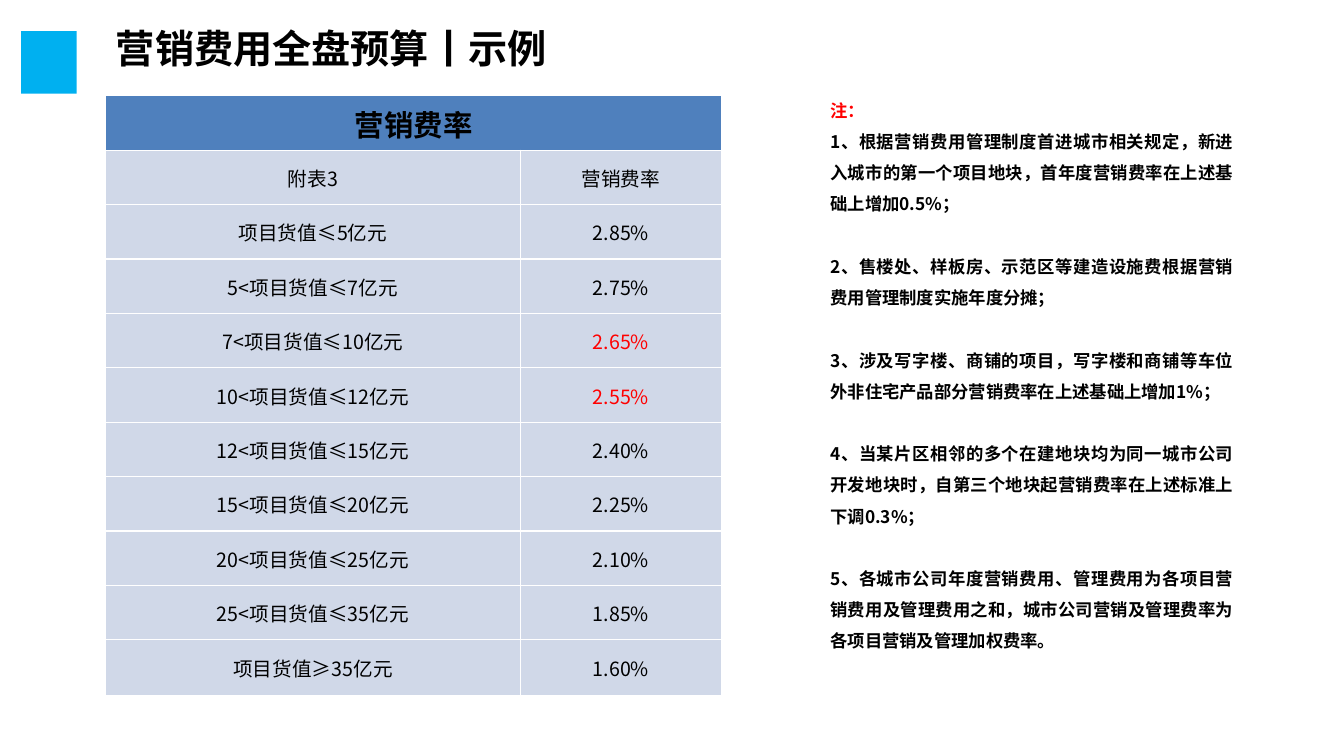
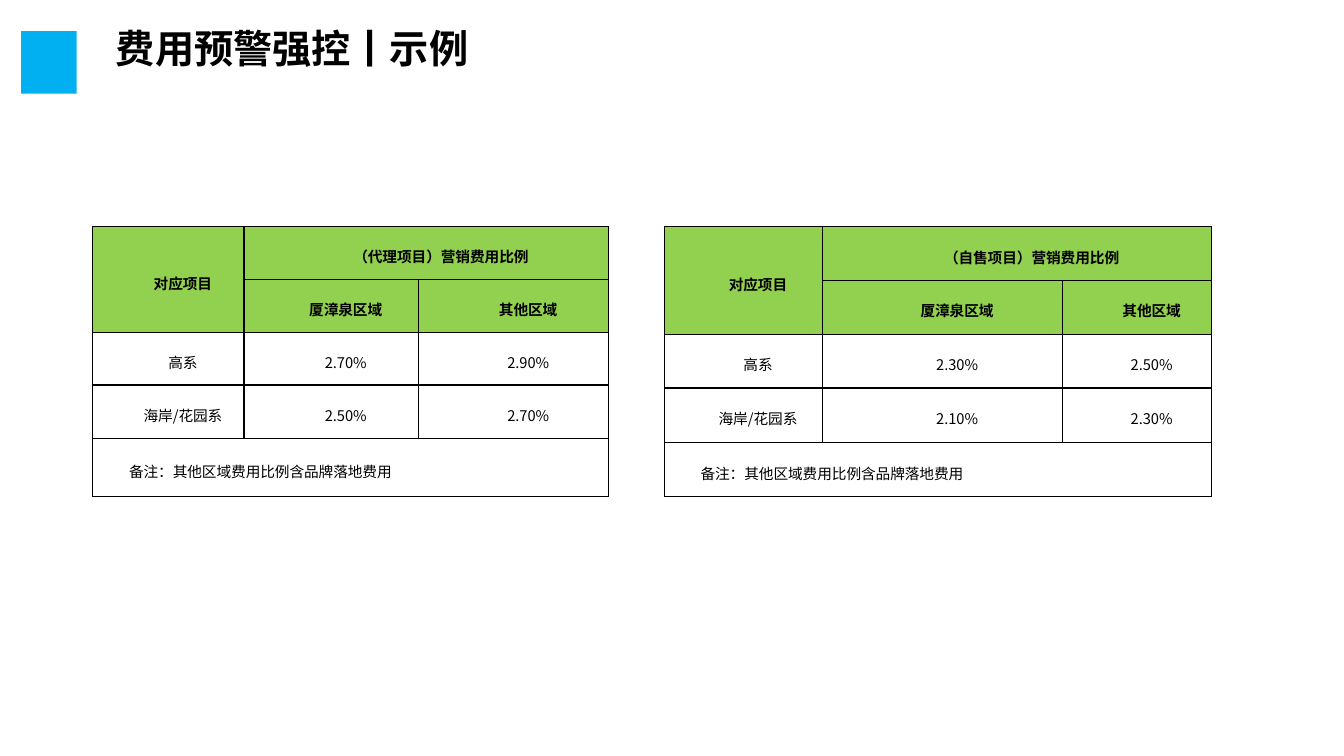
from dataclasses import dataclass, replace

from lxml import etree
from pptx import Presentation
from pptx import util as u
from pptx.dml.color import RGBColor
from pptx.enum import lang, shapes, text
from pptx.oxml.ns import qn

SCALE = 9144
LEFT = text.PP_ALIGN.LEFT
MID = text.PP_ALIGN.CENTER
JUST = text.PP_ALIGN.JUSTIFY


@dataclass(frozen=True)
class Style:
    size: float
    bold: bool = False
    color: str = "000000"
    align: int = MID
    lead: float = 1.0
    indent: int = 0
    fill: str = ""


@dataclass(frozen=True)
class Theme:
    font: str = "Noto Sans CJK SC"
    badge: str = "00B0F0"
    red: str = "FF0000"
    white: str = "FFFFFF"
    black: str = "000000"
    gap: float = 22.3
    title: Style = Style(28, True, align=LEFT, lead=0.9)
    note: Style = Style(12.4, True, align=JUST, lead=1.5)
    band: Style = Style(21, True, fill="4F80BD")
    rate: Style = Style(14, fill="D0D8E8")
    head: Style = Style(10.5, True, lead=1.25, indent=29, fill="92D050")
    body: Style = Style(10.5, lead=1.25, indent=29)
    foot: Style = Style(10.5, align=LEFT, lead=1.25, indent=29)


def px(num):
    return u.Emu(num * SCALE)


def split(total, count):
    return [total * (i + 1) // count - total * i // count for i in range(count)]


class Deck:
    def __init__(self, theme):
        self.theme = theme
        self.prs = Presentation()
        self.prs.slide_width = u.Inches(13.333)
        self.prs.slide_height = px(750)
        self.layout = self.prs.slide_layouts[5]
        self.slide = None

    def page(self, title):
        first = self.slide is None
        self.slide = self.prs.slides.add_slide(self.layout)
        if first:
            self.badge()
        box = self.slide.shapes.title
        box.left, box.top, box.width, box.height = map(px, (105, 20, 555, 61))
        frame = box.text_frame
        frame.word_wrap = True
        frame.auto_size = text.MSO_AUTO_SIZE.NONE
        frame.vertical_anchor = text.MSO_ANCHOR.MIDDLE
        self.para(frame.paragraphs[0], title, self.theme.title)

    def badge(self):
        box = self.slide.shapes.add_shape(
            shapes.MSO_SHAPE.RECTANGLE, *map(px, (21, 31, 55, 62)))
        box.shadow.inherit = False
        box.fill.solid()
        box.fill.fore_color.rgb = RGBColor.from_string(self.theme.badge)
        box.line.fill.background()
        box.element.nvSpPr.cNvPr.set("id", "20")
        self.layout.shapes.element.append(box.element)

    def para(self, para, words, style):
        para.alignment = style.align
        para.line_spacing = style.lead
        if style.indent:
            props = para._p.get_or_add_pPr()
            props.set("marL", "0")
            props.set("indent", str(px(style.indent)))
        run = para.add_run()
        run.text = words
        font = run.font
        font.size = u.Pt(style.size)
        font.bold = style.bold
        font.name = self.theme.font
        font.color.rgb = RGBColor.from_string(style.color)
        font.language_id = lang.MSO_LANGUAGE_ID.SIMPLIFIED_CHINESE
        east = etree.Element(qn("a:ea"), typeface=self.theme.font)
        run._r.rPr.find(qn("a:latin")).addnext(east)

    def notes(self, at, label, items):
        frame = self.slide.shapes.add_textbox(*map(px, at)).text_frame
        frame.word_wrap = True
        style = self.theme.note
        self.para(frame.paragraphs[0], label, replace(style, color=self.theme.red))
        for i, item in enumerate(items):
            para = frame.add_paragraph()
            self.para(para, item, style)
            if i:
                para.space_before = u.Pt(self.theme.gap)

    def edges(self, cell, color):
        props = cell._tc.get_or_add_tcPr()
        for i, side in enumerate(("lnL", "lnR", "lnT", "lnB")):
            line = etree.Element(qn("a:" + side), w=str(u.Pt(1)))
            fill = etree.SubElement(line, qn("a:solidFill"))
            etree.SubElement(fill, qn("a:srgbClr"), val=color)
            props.insert(i, line)

    def cell(self, cell, words, style, pad, edge):
        cell.margin_left = cell.margin_right = px(pad)
        cell.margin_top, cell.margin_bottom = px(1), px(0)
        cell.vertical_anchor = text.MSO_ANCHOR.MIDDLE
        if style.fill:
            cell.fill.solid()
            cell.fill.fore_color.rgb = RGBColor.from_string(style.fill)
        else:
            cell.fill.background()
        self.edges(cell, edge)
        if words:
            self.para(cell.text_frame.paragraphs[0], words, style)

    def table(self, spot, cols, rows, data, spans, pad, edge):
        frame = self.slide.shapes.add_table(
            len(rows), len(cols), *map(px, (*spot, sum(cols), sum(rows))))
        grid = frame.table
        grid.first_row = grid.horz_banding = False
        for col, width in zip(grid.columns, cols):
            col.width = px(width)
        for row, height in zip(grid.rows, rows):
            row.height = px(height)
        for top, left, end, right in spans:
            grid.cell(top, left).merge(grid.cell(end, right))
        for r, (style, words) in enumerate(data):
            for c, word in enumerate(words):
                look = style
                if isinstance(word, tuple):
                    word, color = word
                    look = replace(style, color=color)
                self.cell(grid.cell(r, c), word, look, pad, edge)

    def ratio(self, spot, cols, rows, kind, sky, bay):
        theme = self.theme
        data = [
            (theme.head, ("对应项目", f"（{kind}项目）营销费用比例", "")),
            (theme.head, ("", "厦漳泉区域", "其他区域")),
            (theme.body, ("高系", *sky)),
            (theme.body, ("海岸/花园系", *bay)),
            (theme.foot, ("备注：其他区域费用比例含品牌落地费用", "", "")),
        ]
        spans = [(0, 0, 1, 0), (0, 1, 0, 2), (4, 0, 4, 2)]
        self.table(spot, cols, rows, data, spans, 7, theme.black)


def budget(deck):
    theme = deck.theme
    deck.page("营销费用全盘预算丨示例")
    rates = [
        ("附表3", "营销费率"),
        ("项目货值≤5亿元", "2.85%"),
        ("5<项目货值≤7亿元", "2.75%"),
        ("7<项目货值≤10亿元", ("2.65%", theme.red)),
        ("10<项目货值≤12亿元", ("2.55%", theme.red)),
        ("12<项目货值≤15亿元", "2.40%"),
        ("15<项目货值≤20亿元", "2.25%"),
        ("20<项目货值≤25亿元", "2.10%"),
        ("25<项目货值≤35亿元", "1.85%"),
        ("项目货值≥35亿元", "1.60%"),
    ]
    data = [(theme.band, ("营销费率", ""))] + [(theme.rate, row) for row in rates]
    deck.table((105, 95), (411, 200), split(595, len(data)), data,
               [(0, 0, 0, 1)], 1, theme.white)
    deck.notes((814, 84, 420, 575), "注：", [
        "1、根据营销费用管理制度首进城市相关规定，新进入城市的第一个项目地块，首年度营销费率在上述基础上增加0.5%；",
        "2、售楼处、样板房、示范区等建造设施费根据营销费用管理制度实施年度分摊；",
        "3、涉及写字楼、商铺的项目，写字楼和商铺等车位外非住宅产品部分营销费率在上述基础上增加1%；",
        "4、当某片区相邻的多个在建地块均为同一城市公司开发地块时，自第三个地块起营销费率在上述标准上下调0.3%；",
        "5、各城市公司年度营销费用、管理费用为各项目营销费用及管理费用之和，城市公司营销及管理费率为各项目营销及管理加权费率。",
    ])


def control(deck):
    deck.page("费用预警强控丨示例")
    deck.ratio((92, 225), (150, 173, 189), split(210, 4) + [58], "代理",
               ("2.70%", "2.90%"), ("2.50%", "2.70%"))
    deck.ratio((659, 225), (157, 238, 148), split(268, 5), "自售",
               ("2.30%", "2.50%"), ("2.10%", "2.30%"))


def main():
    deck = Deck(Theme())
    budget(deck)
    control(deck)
    deck.prs.save("out.pptx")


if __name__ == "__main__":
    main()
